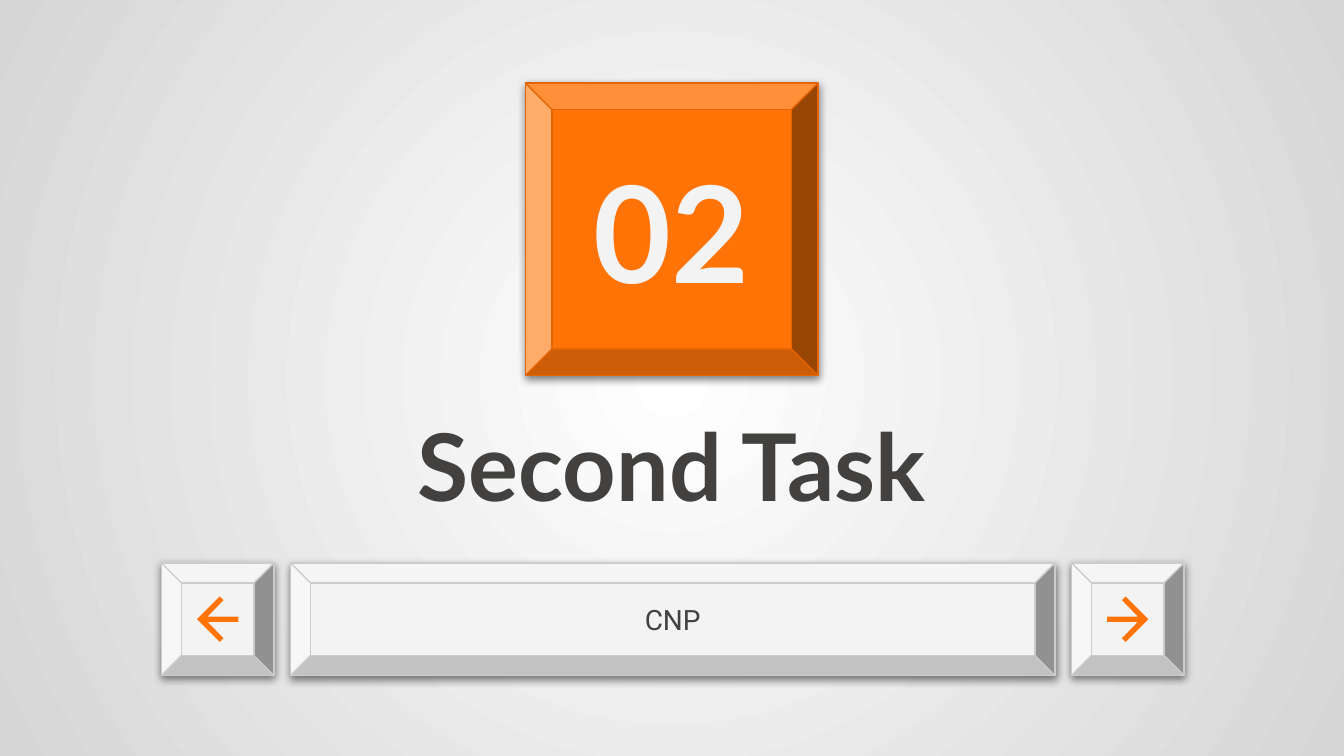
import dataclasses

import lxml.etree
import pptx
import pptx.dml.color
import pptx.enum.shapes
import pptx.enum.text
import pptx.oxml.ns
import pptx.util

Cm = pptx.util.Cm
Pt = pptx.util.Pt
qn = pptx.oxml.ns.qn


@dataclasses.dataclass(frozen=True)
class Theme:
    """Colours, fonts and type sizes of the deck."""
    glow: str = "FFFFFF"
    edge: str = "D6D6D6"
    hot: str = "FF7307"
    rim: str = "E46503"
    pale: str = "F3F3F3"
    grey: str = "CCCCCC"
    ink: str = "42413F"
    head: str = "Lato"
    body: str = "Roboto"
    huge: int = 72
    large: int = 50
    small: int = 15


THEME = Theme()


def rgb(code):
    """Return the colour for a hex code."""
    return pptx.dml.color.RGBColor.from_string(code)


def apply(item, **values):
    """Set each given attribute on an item."""
    for name, value in values.items():
        setattr(item, name, value)


def paint(shape, code):
    """Fill a shape with one colour."""
    shape.fill.solid()
    shape.fill.fore_color.rgb = rgb(code)
    shape.shadow.inherit = False


def shade(shape):
    """Give a shape a soft shadow below it."""
    effects = shape.element.spPr.find(qn("a:effectLst"))
    outer = lxml.etree.SubElement(
        effects, qn("a:outerShdw"), blurRad=str(Pt(4.5)), dist=str(Pt(1.5)),
        dir="5400000", algn="bl", rotWithShape="0")
    color = lxml.etree.SubElement(outer, qn("a:srgbClr"), val="000000")
    lxml.etree.SubElement(color, qn("a:alpha"), val="50000")


def draw_key(shapes, box, fill, line, bevel):
    """Draw a bevelled key that fills the box."""
    kind = pptx.enum.shapes.MSO_SHAPE.BEVEL
    key = shapes.add_shape(kind, *map(Cm, box))
    key.adjustments[0] = bevel
    paint(key, fill)
    key.line.color.rgb = rgb(line)
    key.line.width = Pt(0.75)
    shade(key)


def draw_text(slide, box, text, **style):
    """Write one centred line in the box."""
    color = style.pop("color")
    frame = slide.shapes.add_textbox(*map(Cm, box)).text_frame
    inset = Cm(0.25)
    apply(frame, word_wrap=True,
          vertical_anchor=pptx.enum.text.MSO_ANCHOR.MIDDLE,
          margin_left=inset, margin_right=inset,
          margin_top=inset, margin_bottom=inset)
    line = frame.paragraphs[0]
    line.alignment = pptx.enum.text.PP_ALIGN.CENTER
    run = line.add_run()
    run.text = text
    apply(run.font, **style)
    run.font.color.rgb = rgb(color)


def draw_back(slide):
    """Lay a round glow behind the slide."""
    fill = slide.background.fill
    fill.gradient()
    for stop, code in zip(fill.gradient_stops, (THEME.glow, THEME.edge)):
        stop.color.rgb = rgb(code)
    grad = slide.element.find(".//" + qn("a:gradFill"))
    grad.remove(grad.find(qn("a:lin")))
    round_ = lxml.etree.SubElement(grad, qn("a:path"), {"path": "circle"})
    half = dict.fromkeys("ltrb", "50000")
    lxml.etree.SubElement(round_, qn("a:fillToRect"), half)


def draw_badge(slide, box, text):
    """Draw the orange key with the section number."""
    draw_key(slide.shapes, box, THEME.hot, THEME.rim, 0.091)
    left, top, width, height = box
    inner = (left + 0.39, top + 0.89, width - 0.78, height - 1.78)
    draw_text(slide, inner, text, color=THEME.pale, name=THEME.head,
              size=Pt(THEME.huge), bold=True)


def draw_arrow(slide, box, side):
    """Draw an arrow key that points right for 1 and left for -1."""
    group = slide.shapes.add_group_shape()
    draw_key(group.shapes, box, THEME.pale, THEME.grey, 0.179)
    left, top, width, height = box
    upper = [(-0.39, -0.05), (0.19, -0.05), (-0.11, -0.36), (-0.04, -0.43)]
    lower = [(x, -y) for x, y in reversed(upper)]
    points = [(Cm(left + width / 2 + side * x), Cm(top + height / 2 + y))
              for x, y in upper + [(0.39, 0)] + lower]
    pen = group.shapes.build_freeform(*points[0])
    pen.add_line_segments(points[1:], close=True)
    arrow = pen.convert_to_shape()
    paint(arrow, THEME.hot)
    arrow.line.fill.background()


def draw_row(slide, box, text):
    """Draw the space bar between two arrow keys."""
    left, top, width, side = box
    step = side + 0.31
    bar = (left + step, top, width - 2 * step, side)
    draw_key(slide.shapes, bar, THEME.pale, THEME.grey, 0.179)
    inner = (bar[0] + 1.06, top + 0.45, bar[2] - 2.12, side - 0.9)
    draw_text(slide, inner, text, color=THEME.ink, name=THEME.body,
              size=Pt(THEME.small))
    draw_arrow(slide, (left + width - side, top, side, side), 1)
    draw_arrow(slide, (left, top, side, side), -1)


def main():
    """Build the section slide and save it."""
    deck = pptx.Presentation()
    apply(deck, slide_width=Cm(25.4), slide_height=Cm(14.29))
    slide = deck.slides.add_slide(deck.slide_layouts[6])
    draw_back(slide)
    draw_badge(slide, (9.93, 1.57, 5.53, 5.53), "02")
    draw_text(slide, (5.74, 7.11, 13.92, 3.33), "Second Task",
              color=THEME.ink, name=THEME.head, size=Pt(THEME.large),
              bold=True)
    draw_row(slide, (3.05, 10.64, 19.33, 2.13), "CNP")
    deck.save("out.pptx")


if __name__ == "__main__":
    main()
